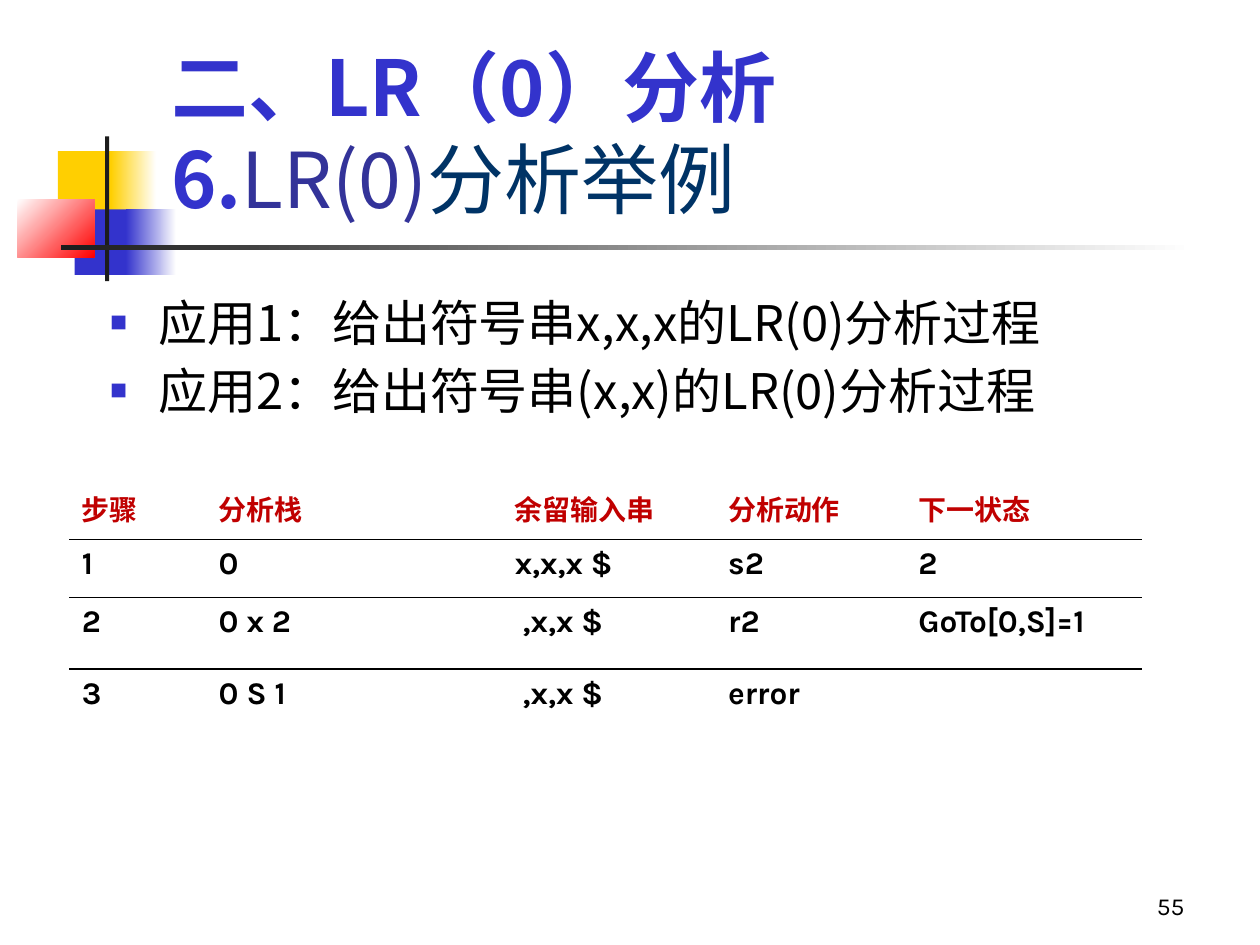
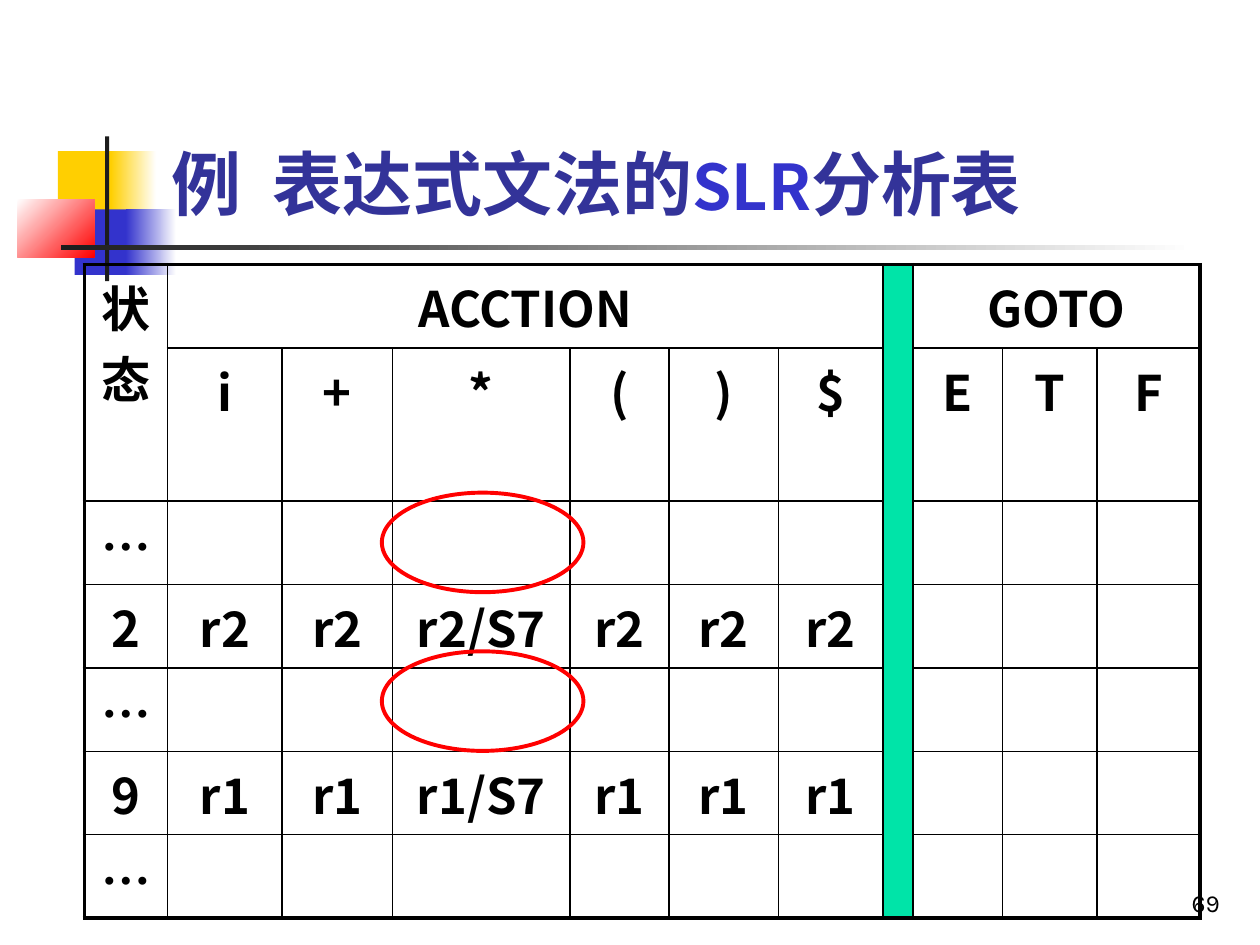
from pptx import Presentation
from pptx.dml.color import RGBColor as Rgb
from pptx.enum.lang import MSO_LANGUAGE_ID as Lang
from pptx.enum.shapes import MSO_SHAPE as Kind
from pptx.enum.text import MSO_ANCHOR as Anchor, MSO_AUTO_SIZE as Auto, PP_ALIGN as Align
from pptx.oxml.ns import qn
from pptx.util import Pt
from lxml.etree import SubElement as Sub

HUES = {
    "gold": "FFCF01", "blue": "3333CC", "red": "FF0000", "white": "FFFFFF",
    "dark": "1C1C1C", "black": "000000", "indigo": "333399", "navy": "003366",
    "crimson": "C00000", "green": "00E4A8",
}
SANS, HAN, KARLA, ROMAN = "Noto Sans CJK JP", "Noto Sans CJK SC", "Karla", "Times New Roman"
TITLE = (90.7, 16.6, 613.4, 115.2)
PLAIN = "{2D5ABB26-0587-4C30-8999-92F81FD0307C}"  # table style without grid


def hue(name):
    return Rgb.from_string(HUES[name])


def apply(item, looks):
    for key, value in looks.items():
        setattr(item, key, value)


def put(shape, box):
    apply(shape, dict(zip(("left", "top", "width", "height"), map(Pt, box))))


def write(par, text, size, color, name=SANS, bold=False):
    run = par.add_run()
    run.text = text
    apply(run.font, {"size": Pt(size), "bold": bold, "name": name,
                     "language_id": Lang.SIMPLIFIED_CHINESE})
    run.font.color.rgb = hue(color)
    Sub(run.font._element, qn("a:ea"), typeface=name)


def block(slide, box, color, end=None, angle=0):
    """Add a borderless rectangle, fading to the colour end if one is given."""
    shape = slide.shapes.add_shape(Kind.RECTANGLE, *map(Pt, box))
    shape.shadow.inherit = False
    shape.line.fill.background()
    if end:
        shape.fill.gradient()
        shape.fill.gradient_angle = angle
        for stop, tint in zip(shape.fill.gradient_stops, (color, end)):
            stop.color.rgb = hue(tint)
    else:
        shape.fill.solid()
        shape.fill.fore_color.rgb = hue(color)
    return shape


def emblem(slide, master):
    """Draw the corner squares and the rule, then move them to the master."""
    parts = [
        ((33.1, 86.4, 34.6, 37.4), "gold"),
        ((63.4, 86.4, 25.9, 37.4), "gold", "white"),
        ((42.7, 119.7, 33.1, 37.4), "blue"),
        ((72, 119.7, 28.8, 37.4), "blue", "white"),
        ((10.1, 113.8, 43.9, 33.1), "white", "red", 315),
        ((60, 77.9, 2.4, 82.8), "dark"),
        ((34.6, 140.2, 648, 2.5), "dark", "white"),
    ]
    for part in parts:
        master.shapes.element.append(block(slide, *part).element)


def title(slide, lines):
    shape = slide.shapes.title
    put(shape, TITLE)
    frame = shape.text_frame
    apply(frame, {"word_wrap": True, "auto_size": Auto.NONE,
                  "vertical_anchor": Anchor.BOTTOM})
    par = frame.paragraphs[0]
    apply(par, {"alignment": Align.LEFT, "space_before": Pt(0)})
    for num, line in enumerate(lines):
        if num:
            par.add_line_break()
        for run in line:
            write(par, *run)
    return par


def bullet(par):
    props = par._p.get_or_add_pPr()
    props.set("marL", str(Pt(27)))
    props.set("indent", str(Pt(-27)))
    Sub(Sub(props, qn("a:buClr")), qn("a:srgbClr"), val=HUES["blue"])
    Sub(props, qn("a:buSzPct"), val="35000")
    Sub(props, qn("a:buFont"), typeface=SANS)
    Sub(props, qn("a:buChar"), char="■")


def points(slide, box, lines):
    shape = slide.placeholders[1]
    put(shape, box)
    frame = shape.text_frame
    apply(frame, {"word_wrap": True, "auto_size": Auto.NONE, "vertical_anchor": Anchor.TOP})
    for num, line in enumerate(lines):
        par = frame.add_paragraph() if num else frame.paragraphs[0]
        bullet(par)
        par.space_before = Pt(5.6 if num else 0)
        write(par, line, 28, "black")


def number(slide, box, text):
    frame = slide.shapes.add_textbox(*map(Pt, box)).text_frame
    apply(frame, {"word_wrap": True, "vertical_anchor": Anchor.BOTTOM})
    frame.paragraphs[0].alignment = Align.RIGHT
    write(frame.paragraphs[0], text, 14, "black", KARLA)


def grid(slide, box, cols, rows):
    """Add an unstyled table with the given column widths and row heights."""
    table = slide.shapes.add_table(len(rows), len(cols), *map(Pt, box)).table
    apply(table, {"first_row": False, "horz_banding": False})
    table._tbl.tblPr.find(qn("a:tableStyleId")).text = PLAIN
    for col, size in zip(table.columns, cols):
        col.width = Pt(size)
    for row, size in zip(table.rows, rows):
        row.height = Pt(size)
    return table


def edge(cell, left, right, top, bottom):
    """Set the border widths; 0 means no line."""
    props = cell._tc.get_or_add_tcPr()
    for side, width in zip("LRTB", (left, right, top, bottom)):
        line = Sub(props, qn("a:ln" + side), w=str(Pt(width)))
        if width:
            Sub(Sub(line, qn("a:solidFill")), qn("a:srgbClr"), val=HUES["black"])
        else:
            Sub(line, qn("a:noFill"))
    cell.fill.background()


def steps(slide, box):
    data = [
        ("步骤", "分析栈", "", "余留输入串", "分析动作", "下一状态"),
        ("1", "0", "", "x,x,x $", "s2", "2"),
        ("2", "0 x 2", "", " ,x,x $", "r2", "GoTo[0,S]=1"),
        ("3", "0 S 1", "", " ,x,x $", "error", ""),
    ]
    table = grid(slide, box, (78.2, 85, 84.2, 122, 108.7, 135), (28.8, 33.2, 41, 43.2))
    for r, row in enumerate(data):
        size, color, top = (18, "black", 3.6) if r else (16, "crimson", 6.8)
        for c, text in enumerate(row):
            cell = table.cell(r, c)
            edge(cell, 0, 0, int(r > 0), int(r < len(data) - 1))
            cell.margin_top = Pt(top)
            if text:
                write(cell.text_frame.paragraphs[0], text, size, color, KARLA, True)


def actions(slide, box):
    def moves(state, rule):
        return [state, rule, rule, rule + "/S7", rule, rule, rule]

    data = [
        ["状态", "ACCTION", "", "", "", "", "", "", "GOTO"],
        ["", "i", "+", "*", "(", ")", "$", "", "E", "T", "F"],
        ["…"], moves("2", "r2"), ["…"], moves("9", "r1"), ["…"],
    ]
    fonts = {"$": HAN, "…": ROMAN}
    cols = (47.5, 65.6, 63, 101.5, 56.6, 62.5, 59.7, 16.7, 51.1, 54, 59)
    table = grid(slide, box, cols, [47.7, 87.4] + [47.7] * 5)
    for r, c, end, last in ((0, 0, 1, 0), (0, 1, 0, 6), (0, 7, 6, 7), (0, 8, 0, 10)):
        table.cell(r, c).merge(table.cell(end, last))
    for r, row in enumerate(data):
        for c in range(len(cols)):
            cell = table.cell(r, c)
            if cell.is_spanned:
                continue
            ends = (c == 0, c + cell.span_width == len(cols),
                    r == 0, r + cell.span_height == len(data))
            edge(cell, *(2.25 if outer else 1 for outer in ends))
            if c < len(row) and row[c]:
                par = cell.text_frame.paragraphs[0]
                par.alignment = Align.CENTER
                write(par, row[c], 28, "black", fonts.get(row[c], SANS), True)
    band = table.cell(0, 7).fill
    band.solid()
    band.fore_color.rgb = hue("green")


def rings(slide, box, gap):
    """Draw two red ellipses, the second one gap below the first."""
    left, top, width, height = box
    for num in range(2):
        ring = slide.shapes.add_shape(
            Kind.OVAL, *map(Pt, (left, top + num * gap, width, height)))
        ring.shadow.inherit = False
        ring.fill.background()
        ring.line.color.rgb = hue("red")
        ring.line.width = Pt(2.25)


def parse_slide(deck):
    slide = deck.slides.add_slide(deck.slide_layouts[1])
    emblem(slide, deck.slide_master)
    title(slide, [
        [("二、LR（0）分析", 44, "blue", SANS, True)],
        [("6.", 44, "blue", SANS, True), ("LR(0)", 44, "indigo"), ("分析举例", 44, "navy")],
    ])
    points(slide, (56.2, 163.4, 612, 324), [
        "应用1：给出符号串x,x,x的LR(0)分析过程",
        "应用2：给出符号串(x,x)的LR(0)分析过程",
    ])
    steps(slide, (39.6, 275.8, 613.4, 146.2))
    number(slide, (516.2, 492.2, 167.8, 37.4), "55")


def table_slide(deck):
    slide = deck.slides.add_slide(deck.slide_layouts[5])
    number(slide, (554.4, 491.8, 149.8, 36), "69")
    par = title(slide, [[
        ("例\t表达式文法的", 40, "indigo", SANS, True),
        ("SLR", 36, "blue", HAN, True),
        ("分析表", 40, "indigo", SANS, True),
    ]])
    Sub(Sub(par._p.get_or_add_pPr(), qn("a:tabLst")), qn("a:tab"), pos=str(Pt(58)), algn="l")
    actions(slide, (48.2, 151.2, 637.2, 373.6))
    rings(slide, (218.2, 281.5, 115.2, 56.9), 90.7)


def main():
    deck = Presentation()
    apply(deck, {"slide_width": Pt(720), "slide_height": Pt(540)})
    parse_slide(deck)
    table_slide(deck)
    deck.save("out.pptx")


if __name__ == "__main__":
    main()
